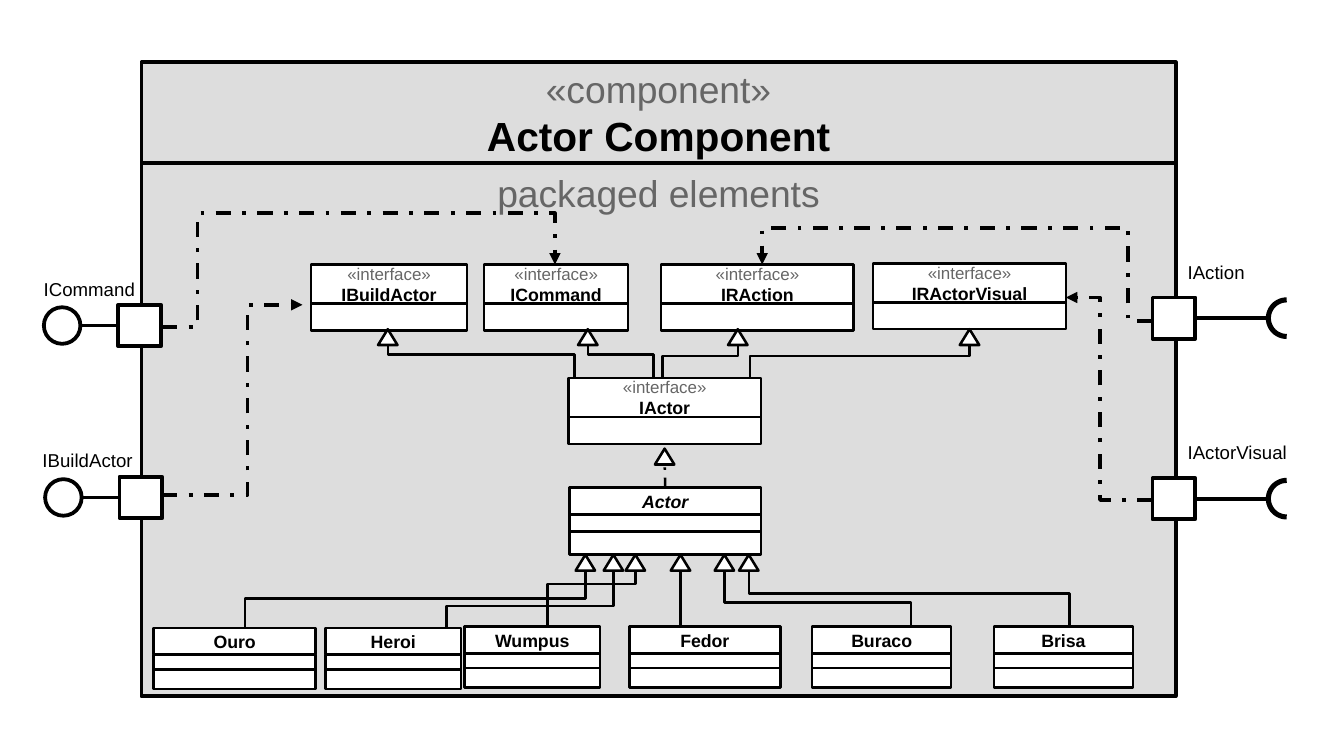
from math import cos, pi, sin

from lxml import etree
from pptx import Presentation
from pptx.dml.color import RGBColor
from pptx.enum.dml import MSO_LINE
from pptx.enum.shapes import MSO_CONNECTOR, MSO_SHAPE
from pptx.enum.text import MSO_ANCHOR, MSO_AUTO_SIZE, PP_ALIGN
from pptx.oxml.ns import qn
from pptx.util import Inches, Pt

BLACK = RGBColor(0x00, 0x00, 0x00)
WHITE = RGBColor(0xFF, 0xFF, 0xFF)
GREY = RGBColor(0x66, 0x66, 0x66)
PANEL = RGBColor(0xDD, 0xDD, 0xDD)
RECTANGLE, OVAL = MSO_SHAPE.RECTANGLE, MSO_SHAPE.OVAL
STRAIGHT = MSO_CONNECTOR.STRAIGHT
DASH_DOT = MSO_LINE.DASH_DOT
MIDDLE, TOP = MSO_ANCHOR.MIDDLE, MSO_ANCHOR.TOP
CENTER, LEFT = PP_ALIGN.CENTER, PP_ALIGN.LEFT
NO_FIT = MSO_AUTO_SIZE.NONE
THIN, THICK = 1.5, 2.25
SIDE_TOP, SIDE_LEFT, SIDE_RIGHT = 0, 1, 3

STYLES = {
    "stereotype": ({"size": Pt(22), "bold": False}, GREY),
    "heading": ({"size": Pt(24), "bold": True}, BLACK),
    "keyword": ({"size": Pt(10), "bold": False}, GREY),
    "name": ({"size": Pt(10.5), "bold": True}, BLACK),
    "abstract": ({"size": Pt(10.5), "bold": True, "italic": True}, BLACK),
    "label": ({"size": Pt(11), "bold": False}, BLACK),
}

HEADER = (1.16, 0.51, 8.48, 0.83)
BODY = (1.16, 1.34, 8.48, 4.37)
HEADER_TEXT = [("«component»", "stereotype"), ("Actor Component", "heading")]
BODY_TEXT = [("packaged elements", "stereotype")]

INTERFACE_ROWS = (0.32, 0.22)
ACTOR_ROWS = (0.22, 0.14, 0.19)
CLASS_ROWS = (0.22, 0.12, 0.16)
INTERFACES = [
    ("IBuildActor", 2.55, 2.17, 1.28),
    ("ICommand", 3.97, 2.17, 1.18),
    ("IRAction", 5.42, 2.17, 1.58),
    ("IRActorVisual", 7.16, 2.16, 1.58),
    ("IActor", 4.66, 3.1, 1.58),
]
ACTOR = ("Actor", 4.67, 4.0, 1.57)
CLASSES = [
    ("Ouro", 1.26, 5.15, 1.33),
    ("Heroi", 2.67, 5.15, 1.11),
    ("Wumpus", 3.81, 5.14, 1.11),
    ("Fedor", 5.16, 5.14, 1.24),
    ("Buraco", 6.66, 5.14, 1.14),
    ("Brisa", 8.15, 5.14, 1.14),
]

INTERFACE_BASE, IACTOR_TOP = 2.7, 3.1
ACTOR_BASE, CLASS_TOP = 4.55, 5.15
IACTOR_LINKS = [(4.71, 2.91, 3.18), (5.36, 2.91, 4.82),
                (5.43, 2.92, 6.05), (6.15, 2.92, 7.95)]
CLASS_LINKS = [(2.01, 4.91, 4.8), (3.66, 4.97, 5.03), (4.49, 4.79, 5.21),
               (7.47, 4.94, 5.94), (8.77, 4.87, 6.14)]
FEDOR_X = 5.58
REALIZATION = (5.45, 3.68)
ARROW_HALF, ARROW_HEIGHT = 0.08, 0.13

DELEGATIONS = [
    [(1.33, 2.68), (1.62, 2.68), (1.62, 1.75), (4.55, 1.75), (4.55, 2.17)],
    [(1.33, 4.06), (2.03, 4.06), (2.03, 2.5), (2.48, 2.5)],
    [(9.45, 2.63), (9.25, 2.63), (9.25, 1.87), (6.25, 1.87), (6.25, 2.17)],
    [(9.45, 4.1), (9.02, 4.1), (9.02, 2.44), (8.74, 2.44)],
]

PORT_WIDTH, PORT_HEIGHT = 0.35, 0.34
BALL_SIZE, BALL_GAP = 0.3, 0.31
SOCKET_RADIUS, SOCKET_X, SOCKET_STEM = 0.15, 10.55, 10.38
PROVIDED = [(0.97, 2.67), (0.98, 4.08)]
REQUIRED = [(9.45, 2.61), (9.45, 4.09)]
LABELS = [
    ("ICommand", 0.26, 2.23, 1.07),
    ("IBuildActor", 0.25, 3.63, 1.15),
    ("IAction", 9.64, 2.09, 0.8),
    ("IActorVisual", 9.64, 3.57, 1.13),
]


def style_outline(shape, width, fill=None):
    shape.shadow.inherit = False
    shape.line.color.rgb = BLACK
    shape.line.width = Pt(width)
    if fill is None:
        shape.fill.background()
    else:
        shape.fill.solid()
        shape.fill.fore_color.rgb = fill


def write_text(shape, lines, align=CENTER, anchor=MIDDLE, margins=(0.11, 0.06)):
    frame = shape.text_frame
    side, edge = map(Inches, margins)
    settings = {"word_wrap": True, "auto_size": NO_FIT, "vertical_anchor": anchor,
                "margin_left": side, "margin_right": side,
                "margin_top": edge, "margin_bottom": edge}
    for key, value in settings.items():
        setattr(frame, key, value)
    for index, (text, style) in enumerate(lines):
        para = frame.add_paragraph() if index else frame.paragraphs[0]
        para.alignment = align
        span = para.add_run()
        span.text = text
        values, color = STYLES[style]
        for key, value in values.items():
            setattr(span.font, key, value)
        span.font.name = "Arial"
        span.font.color.rgb = color


def add_box(page, area, width, fill=WHITE, kind=RECTANGLE):
    box = page.shapes.add_shape(kind, *map(Inches, area))
    style_outline(box, width, fill)
    return box


def add_classifier(page, place, rows, lines):
    _, left, top, width = place
    boxes = [add_box(page, (left, top + sum(rows[:index]), width, height), THIN)
             for index, height in enumerate(rows)]
    write_text(boxes[0], lines)
    return boxes[0]


def add_path(page, points, width, fill=None, closed=False):
    corners = [(Inches(x), Inches(y)) for x, y in points]
    builder = page.shapes.build_freeform(*corners[0])
    builder.add_line_segments(corners[1:], close=closed)
    path = builder.convert_to_shape()
    style_outline(path, width, fill)
    return path


def add_triangle(page, x, y):
    base = y + ARROW_HEIGHT
    corners = [(x, y), (x + ARROW_HALF, base), (x - ARROW_HALF, base)]
    add_path(page, corners, THIN, WHITE, closed=True)


def add_line(page, start, end, width):
    line = page.shapes.add_connector(STRAIGHT, *map(Inches, (*start, *end)))
    line.line.color.rgb = BLACK
    line.line.width = Pt(width)
    etree.SubElement(line._element.spPr, qn("a:effectLst"))
    return line


def add_port(page, left, middle):
    area = (left, middle - PORT_HEIGHT / 2, PORT_WIDTH, PORT_HEIGHT)
    return add_box(page, area, THICK)


def main():
    """Build the component diagram of the actor component."""
    deck = Presentation()
    deck.slide_width, deck.slide_height = Inches(11.02), Inches(6.2)
    page = deck.slides.add_slide(deck.slide_layouts[5])

    title = page.shapes.title
    title.left, title.top, title.width, title.height = map(Inches, HEADER)
    style_outline(title, THICK, PANEL)
    write_text(title, HEADER_TEXT)
    write_text(add_box(page, BODY, THICK, PANEL), BODY_TEXT, anchor=TOP)

    for links, start, tip in ((IACTOR_LINKS, IACTOR_TOP, INTERFACE_BASE),
                              (CLASS_LINKS, CLASS_TOP, ACTOR_BASE)):
        for x, bend, target in links:
            add_path(page, [(x, start), (x, bend), (target, bend), (target, tip)], THIN)
    add_line(page, (FEDOR_X, CLASS_TOP), (FEDOR_X, ACTOR_BASE), THIN)

    for place in INTERFACES:
        add_classifier(page, place, INTERFACE_ROWS,
                       [("«interface»", "keyword"), (place[0], "name")])
    actor = add_classifier(page, ACTOR, ACTOR_ROWS, [(ACTOR[0], "abstract")])
    for place in CLASSES:
        add_classifier(page, place, CLASS_ROWS, [(place[0], "name")])

    x, y = REALIZATION
    line = add_line(page, (x, ACTOR[2]), (x, y + ARROW_HEIGHT), THIN)
    line.line.dash_style = DASH_DOT
    line.begin_connect(actor, SIDE_TOP)
    tips = [(link[2], INTERFACE_BASE) for link in IACTOR_LINKS]
    tips += [(link[2], ACTOR_BASE) for link in CLASS_LINKS]
    for tip in tips + [(FEDOR_X, ACTOR_BASE), REALIZATION]:
        add_triangle(page, *tip)

    for points in DELEGATIONS:
        path = add_path(page, points, THICK)
        path.line.dash_style = DASH_DOT
        etree.SubElement(path.line._get_or_add_ln(), qn("a:tailEnd"), type="triangle")

    for left, middle in PROVIDED:
        port = add_port(page, left, middle)
        ball_right = left - BALL_GAP
        add_box(page, (ball_right - BALL_SIZE, middle - BALL_SIZE / 2, BALL_SIZE, BALL_SIZE),
                THICK, kind=OVAL)
        add_line(page, (left, middle), (ball_right, middle), THICK).begin_connect(port, SIDE_LEFT)
    for left, middle in REQUIRED:
        port = add_port(page, left, middle)
        stem = add_line(page, (left + PORT_WIDTH, middle), (SOCKET_STEM, middle), THICK)
        stem.begin_connect(port, SIDE_RIGHT)
        angles = [pi / 2 + pi * step / 24 for step in range(25)]
        add_path(page, [(SOCKET_X + SOCKET_RADIUS * cos(angle), middle - SOCKET_RADIUS * sin(angle))
                        for angle in angles], 3)

    for text, left, top, width in LABELS:
        label = page.shapes.add_textbox(*map(Inches, (left, top, width, 0.28)))
        write_text(label, [(text, "label")], LEFT, TOP, (0.1, 0.05))
    deck.save("out.pptx")


if __name__ == "__main__":
    main()
